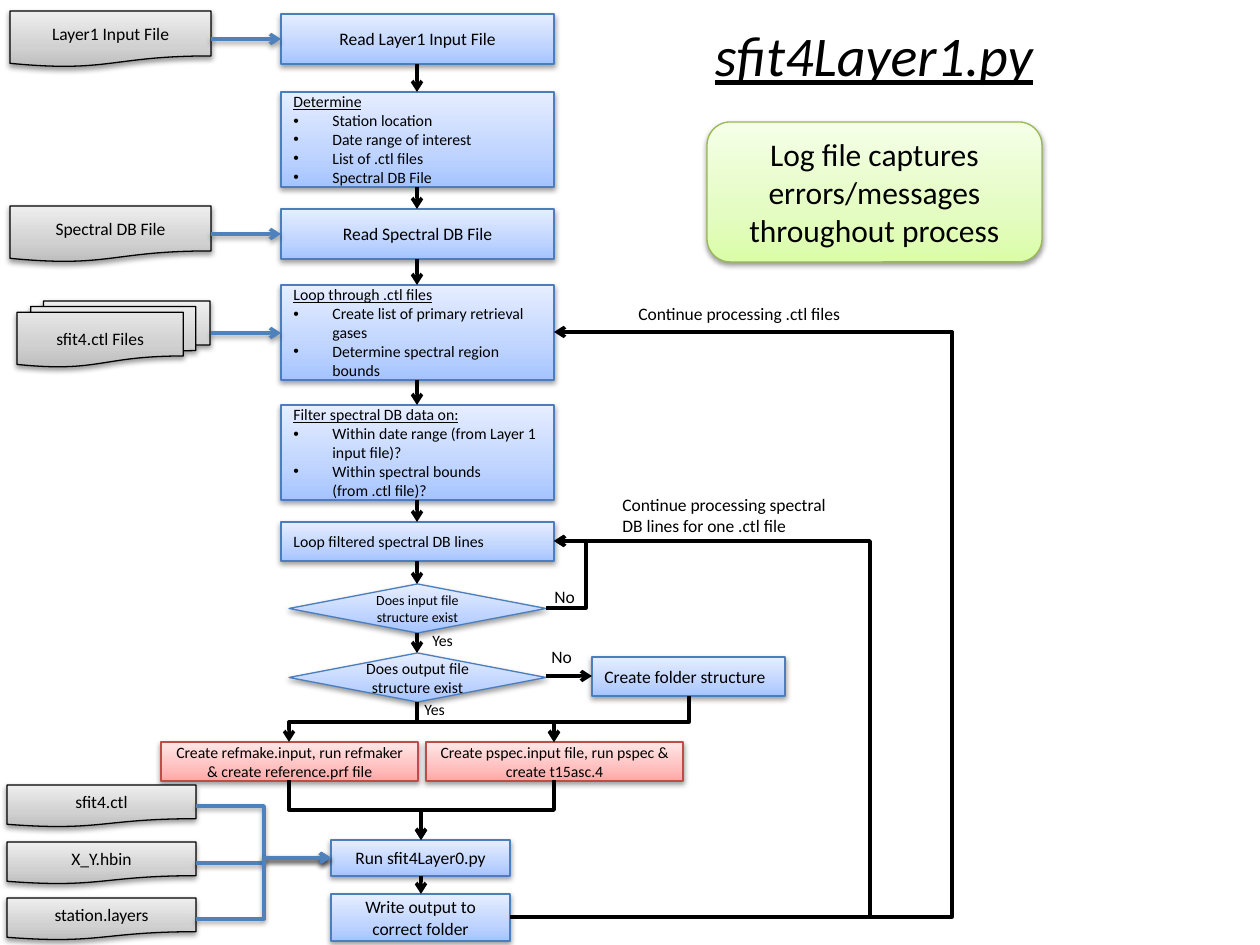
from copy import deepcopy
from lxml.etree import SubElement
from pptx import Presentation
from pptx.dml.color import RGBColor
from pptx.enum.shapes import MSO_CONNECTOR as CONN, MSO_SHAPE as SHAPE
from pptx.enum.text import MSO_ANCHOR as ANCHOR, PP_ALIGN as ALIGN
from pptx.oxml.ns import qn
from pptx.util import Emu, Pt

BLUE = ("A4C4FF", "BFD4FF", "E6EEFF", "4B7EBC")
GREY = ("BDBDBD", "D1D1D1", "EEEEEE", "000000")
RED = ("FFA6A5", "FFC0BF", "FFE7E7", "BF4C48")
GREEN = ("DAFDA7", "E4FCC2", "F5FFE7", "98B955")
BLACK, STEEL = "000000", "4F81BD"


def px(n):
    """Turn picture pixels into EMU."""
    return Emu(round(n * 914400 / 126))


def rgb(value):
    """Turn a hex string into a colour."""
    return RGBColor.from_string(value)


def add_node(parent, tag, **attrs):
    """Append an XML child with the given attributes."""
    node = SubElement(parent, qn(tag))
    for key, value in attrs.items():
        node.set(key, str(value))
    return node


class Flowchart:
    """Holds the style and the current slide."""

    font = "Calibri"

    def __init__(self, prs):
        """Start a slide with a title."""
        self.s = prs.slides.add_slide(prs.slide_layouts[5])

    def set_text(self, tf, lines, size, align=ALIGN.LEFT, **fmt):
        """Fill a text frame; after a heading, lines are bulleted."""
        tf.word_wrap = True
        for i, line in enumerate(lines):
            p = tf.add_paragraph() if i else tf.paragraphs[0]
            p.alignment = align
            r = p.add_run()
            r.text = line
            style = {"name": self.font, "size": Pt(size), **fmt}
            if len(lines) > 1:
                style["underline"] = i == 0
            for key, value in style.items():
                setattr(r.font, key, value)
            r.font.color.rgb = rgb(BLACK)
            if i:
                pPr = p._p.get_or_add_pPr()
                pPr.set("marL", str(px(39)))
                pPr.set("indent", str(-px(39)))
                add_node(pPr, "a:buFont", typeface="Arial")
                add_node(pPr, "a:buChar", char="•")

    def title(self, text, x, y, w, h):
        """Place and format the title."""
        sp = self.s.shapes.title
        for key, value in zip(("left", "top", "width", "height"), (x, y, w, h)):
            setattr(sp, key, px(value))
        self.set_text(sp.text_frame, [text], 32, ALIGN.CENTER, italic=True, underline=True)

    def label(self, text, x, y, w, h, size=10):
        """Add a plain text box."""
        sp = self.s.shapes.add_textbox(*map(px, (x, y, w, h)))
        self.set_text(sp.text_frame, [text], size)

    def shade(self, effects):
        """Put the soft drop shadow in an effect list."""
        shadow = add_node(effects, "a:outerShdw", blurRad=Pt(3.1), dist=Pt(1.6),
                          dir=5400000, rotWithShape=0)
        add_node(add_node(shadow, "a:srgbClr", val=BLACK), "a:alpha", val=38000)

    def box(self, kind, palette, lines, x, y, w, h, size=10, align=ALIGN.CENTER):
        """Add a gradient shape with text."""
        sp = self.s.shapes.add_shape(kind, *map(px, (x, y, w, h)))
        sp.fill.gradient()
        sp.fill.gradient_angle = 90
        first = sp._element.spPr.find(".//" + qn("a:gs"))
        first.addnext(deepcopy(first))
        for stop, place, color in zip(sp.fill.gradient_stops, (0, 0.35, 1), palette):
            stop.position = place
            stop.color.rgb = rgb(color)
        sp.line.color.rgb = rgb(palette[3])
        sp.line.width = Pt(0.75)
        sp.shadow.inherit = False
        self.shade(sp._element.spPr.find(qn("a:effectLst")))
        sp.text_frame.vertical_anchor = ANCHOR.MIDDLE
        self.set_text(sp.text_frame, lines, size, align)

    def connector(self, kind, x1, y1, x2, y2, color):
        """Add an arrow and return it."""
        c = self.s.shapes.add_connector(kind, *map(px, (x1, y1, x2, y2)))
        c.line.color.rgb = rgb(color)
        c.line.width = Pt(2)
        spPr = c._element.spPr
        add_node(spPr.find(qn("a:ln")), "a:tailEnd", type="arrow")
        effects = add_node(spPr, "a:effectLst")
        if color == STEEL:
            self.shade(effects)
        return c

    def arrow(self, x1, y1, x2, y2, color=BLACK):
        """Add a straight arrow."""
        self.connector(CONN.STRAIGHT, x1, y1, x2, y2, color)

    def elbow(self, x1, y1, x2, y2, via, color=BLACK, down=False):
        """Add an arrow that turns at x = via, or at y = via when it starts down."""
        dx, dy = x2 - x1, y2 - y1
        ends, ratio = (x1, y1, x2, y2), (via - x1) / dx
        if down:
            cx, cy = (x1 + x2) / 2, (y1 + y2) / 2
            ends = cx - dy / 2, cy + dx / 2, cx + dy / 2, cy - dx / 2
            ratio = (via - y1) / dy
        spPr = self.connector(CONN.ELBOW, *ends, color)._element.spPr
        if down:
            spPr.find(qn("a:xfrm")).set("rot", "5400000")
        geom = spPr.find(qn("a:prstGeom"))
        guides = geom.find(qn("a:avLst"))
        if guides is None:
            guides = add_node(geom, "a:avLst")
        add_node(guides, "a:gd", name="adj1", fmla=f"val {round(ratio * 100000)}")


prs = Presentation()
prs.slide_width, prs.slide_height = px(1260), px(945)
chart = Flowchart(prs)
chart.title("sfit4Layer1.py", 654, 14, 440, 81)

# Main column
STEPS = [
    (["Read Layer1 Input File"], 14, 50, 10, ALIGN.CENTER),
    (["Determine", "Station location", "Date range of interest",
      "List of .ctl files", "Spectral DB File"], 92, 95, 9, ALIGN.LEFT),
    (["Read Spectral DB File"], 209, 50, 10, ALIGN.CENTER),
    (["Loop through .ctl files", "Create list of primary retrieval gases",
      "Determine spectral region bounds"], 285, 95, 9, ALIGN.LEFT),
    (["Filter spectral DB data on:", "Within date range (from Layer 1 input file)?",
      "Within spectral bounds (from .ctl file)?"], 405, 95, 9, ALIGN.LEFT),
    (["Loop filtered spectral DB lines"], 522, 39, 9, ALIGN.LEFT),
]
for lines, y, h, size, align in STEPS:
    chart.box(SHAPE.FLOWCHART_PROCESS, BLUE, lines, 281, y, 273, h, size, align)
for thing, y, size in (("input", 584, 8), ("output", 653, 9)):
    chart.box(SHAPE.FLOWCHART_DECISION, BLUE, [f"Does {thing} file structure exist"],
              289, y, 257, 49, size)
tops = [y for _, y, *_ in STEPS] + [584, 653]
bottoms = [y + h for _, y, h, *_ in STEPS] + [633]
for start, end in zip(bottoms, tops[1:]):
    chart.arrow(417, start, 417, end)

# Later steps
chart.box(SHAPE.FLOWCHART_PROCESS, BLUE, ["Create folder structure"],
          592, 657, 193, 39, 10, ALIGN.LEFT)
for text, x in (("Create pspec.input file, run pspec & create t15asc.4", 426),
                ("Create refmake.input, run refmaker & create reference.prf file", 161)):
    chart.box(SHAPE.FLOWCHART_PROCESS, RED, [text], x, 742, 257, 39, 9)
for text, y, h in (("Run sfit4Layer0.py", 840, 36),
                   ("Write output to correct folder", 894, 47)):
    chart.box(SHAPE.FLOWCHART_PROCESS, BLUE, [text], 331, y, 179, h)
chart.arrow(421, 876, 421, 894)
chart.arrow(546, 676, 592, 676)
for x in (289, 554):
    chart.elbow(417, 702, x, 742, 722, down=True)
    chart.elbow(x, 780, 421, 840, 810, down=True)
chart.elbow(689, 696, 554, 742, 722, down=True)

# Loops back
for x1, y1, y2, via in ((546, 608, 541, 586), (510, 917, 541, 870), (510, 917, 332, 952)):
    chart.elbow(x1, y1, 554, y2, via)

# Input files
for text, y in (("Layer1 Input File", 11), ("Spectral DB File", 206)):
    chart.box(SHAPE.FLOWCHART_DOCUMENT, GREY, [text], 10, y, 201, 56)
chart.box(SHAPE.FLOWCHART_MULTIDOCUMENT, GREY, ["sfit4.ctl Files"], 17, 301, 193, 66)
for y in (39, 234, 333):
    chart.arrow(211, y, 281, y, STEEL)
for text, y in (("sfit4.ctl", 785), ("X_Y.hbin", 842), ("station.layers", 898)):
    chart.box(SHAPE.FLOWCHART_DOCUMENT, GREY, [text], 7, y, 189, 42)
    chart.elbow(196, y + 21, 331, 858, 264, STEEL)

# Labels
for label in (
    ("No", 542, 580, 48, 34), ("No", 539, 640, 55, 34),
    ("Yes", 420, 625, 52, 32, 9), ("Yes", 412, 694, 52, 32, 9),
    ("Continue processing spectral DB lines for one .ctl file", 610, 488, 233, 55),
    ("Continue processing .ctl files", 626, 297, 233, 34),
):
    chart.label(*label)
chart.box(SHAPE.ROUNDED_RECTANGLE, GREEN,
          ["Log file captures errors/messages throughout process"], 707, 122, 335, 140, 18)

prs.save("out.pptx")
